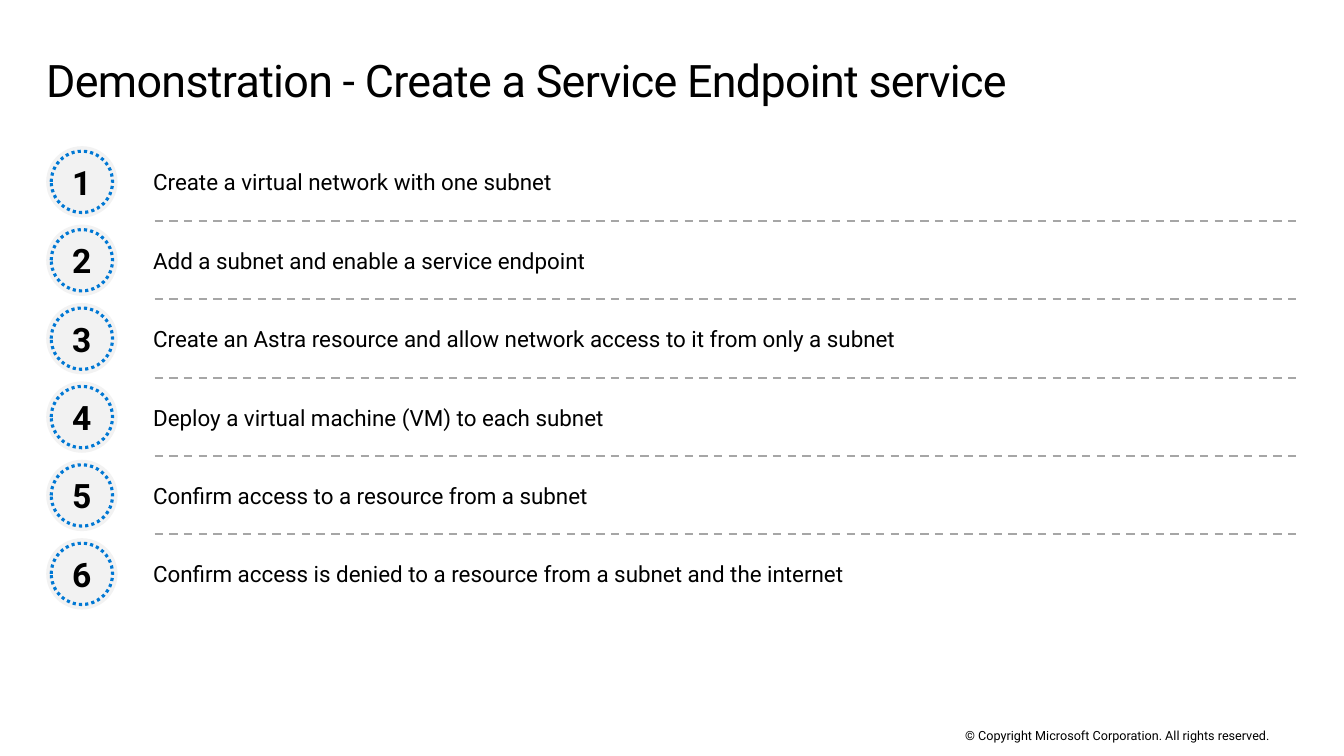
from pptx import Presentation
from pptx.dml.color import RGBColor
from pptx.enum.dml import MSO_LINE_DASH_STYLE as Dash
from pptx.enum.shapes import MSO_CONNECTOR as Connector, MSO_SHAPE as Shape
from pptx.enum.text import MSO_ANCHOR as Anchor, PP_ALIGN as Align
from pptx.oxml.ns import qn
from pptx.util import Pt
from lxml import etree

# Content
TITLE = "Demonstration - Create a Service Endpoint service"
STEPS = [
    "Create a virtual network with one subnet",
    "Add a subnet and enable a service endpoint",
    "Create an Astra resource and allow network access to it from only a subnet",
    "Deploy a virtual machine (VM) to each subnet",
    "Confirm access to a resource from a subnet",
    "Confirm access is denied to a resource from a subnet and the internet",
]
COPYRIGHT = "© Copyright Microsoft Corporation. All rights reserved."

COLORS = {"text": "000000", "disc": "F2F2F2", "ring": "0078D4", "divider": "A6A6A6"}
FONT = "Roboto"

# Layout, in points
ROW_TOP, ROW_PITCH = 104.4, 56
DISC_LEFT, DISC_SIZE, RING_INSET = 33, 51, 3.6
STEP_LEFT, STEP_WIDTH, STEP_HEIGHT = 109.4, 818, 30.2
DIVIDER_LEFT, DIVIDER_RIGHT, DIVIDER_OFFSET = 110.4, 926, 53.3


def color(name):
    return RGBColor.from_string(COLORS[name])


def write(shape, text, size, bold=False, align=Align.LEFT, anchor=Anchor.MIDDLE,
          insets=(0, 0, 0, 0), line_spacing=None, tracking=None):
    frame = shape.text_frame
    frame.word_wrap = True
    frame.vertical_anchor = anchor
    (frame.margin_left, frame.margin_top,
     frame.margin_right, frame.margin_bottom) = map(Pt, insets)
    paragraph = frame.paragraphs[0]
    paragraph.alignment = align
    paragraph.line_spacing = line_spacing
    run = paragraph.add_run()
    run.text = text
    run.font.name, run.font.size, run.font.bold = FONT, Pt(size), bold
    run.font.color.rgb = color("text")
    if tracking:
        run.font._element.set("spc", str(int(tracking * 100)))


def add_text(left, top, width, height, text, **style):
    box = slide.shapes.add_textbox(Pt(left), Pt(top), Pt(width), Pt(height))
    write(box, text, **style)


def add_circle(left, top, size):
    circle = slide.shapes.add_shape(Shape.OVAL, Pt(left), Pt(top), Pt(size), Pt(size))
    circle.shadow.inherit = False
    return circle


def style_line(line, name, width, dash):
    line.color.rgb = color(name)
    line.width = Pt(width)
    line.dash_style = dash


def add_badge(number, top):
    disc = add_circle(DISC_LEFT, top, DISC_SIZE)
    disc.fill.solid()
    disc.fill.fore_color.rgb = color("disc")
    disc.line.fill.background()
    write(disc, str(number), size=24, bold=True, align=Align.CENTER)
    ring = add_circle(DISC_LEFT + RING_INSET, top + RING_INSET, DISC_SIZE - 2 * RING_INSET)
    ring.fill.background()
    style_line(ring.line, "ring", 2.25, Dash.ROUND_DOT)


def add_divider(y):
    divider = slide.shapes.add_connector(
        Connector.STRAIGHT, Pt(DIVIDER_LEFT), Pt(y), Pt(DIVIDER_RIGHT), Pt(y))
    style_line(divider.line, "divider", 1.5, Dash.DASH)
    etree.SubElement(divider._element.spPr, qn("a:effectLst"))


deck = Presentation()
deck.slide_width, deck.slide_height = Pt(960), Pt(540)
slide = deck.slides.add_slide(deck.slide_layouts[6])

# Title
add_text(33, 34.6, 893, 53.3, TITLE, size=32, anchor=Anchor.TOP,
         insets=(0, 7.2, 11.5, 7.2), line_spacing=0.9, tracking=-0.5)

# Numbered steps with dividers between them
for number, step in enumerate(STEPS, start=1):
    top = ROW_TOP + (number - 1) * ROW_PITCH
    add_badge(number, top)
    add_text(STEP_LEFT, top + (DISC_SIZE - STEP_HEIGHT) / 2, STEP_WIDTH, STEP_HEIGHT,
             step, size=16)
    if number < len(STEPS):
        add_divider(top + DIVIDER_OFFSET)

# Footer
add_text(636, 520, 324, 10.8, COPYRIGHT, size=9, align=Align.CENTER)

deck.save("out.pptx")
